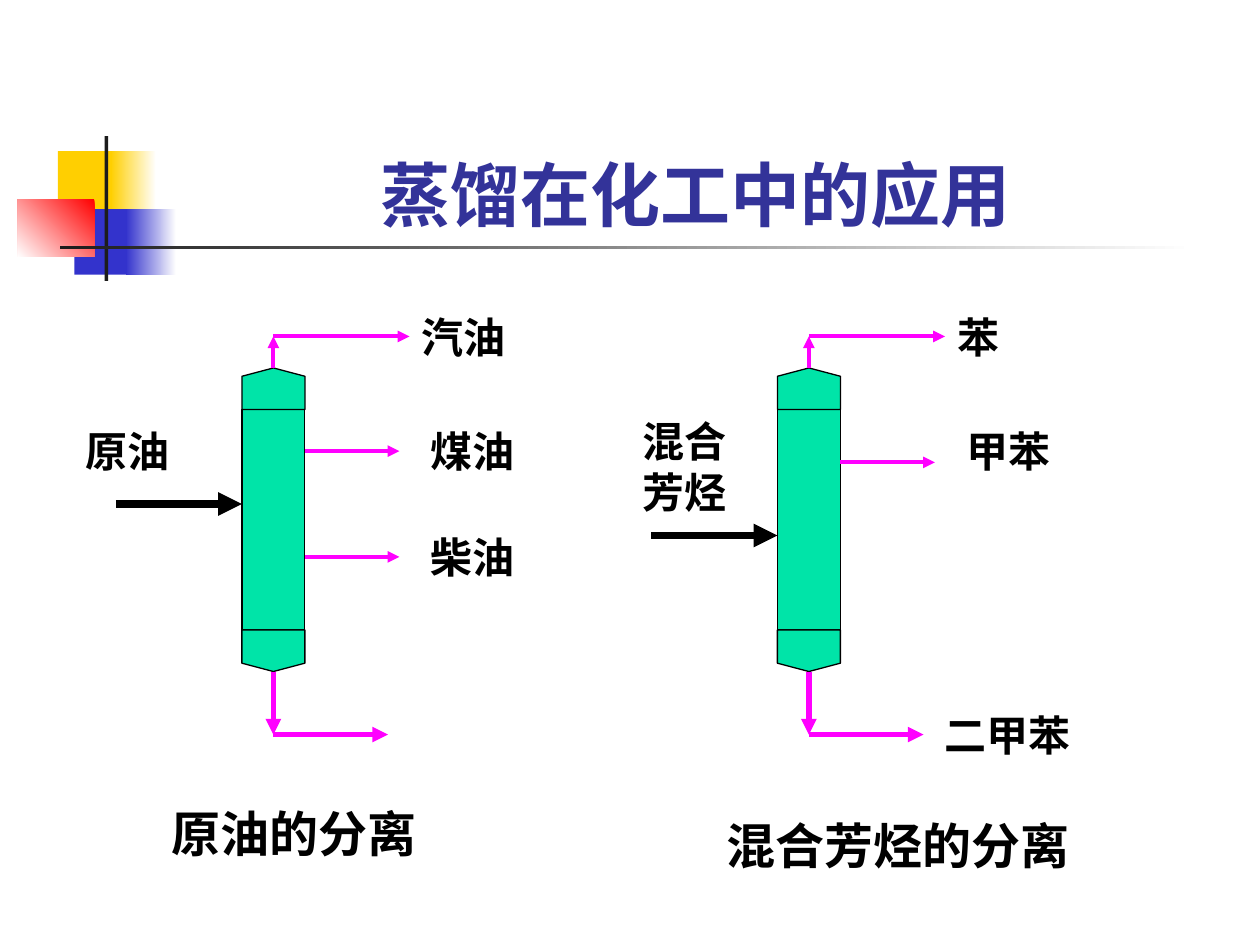
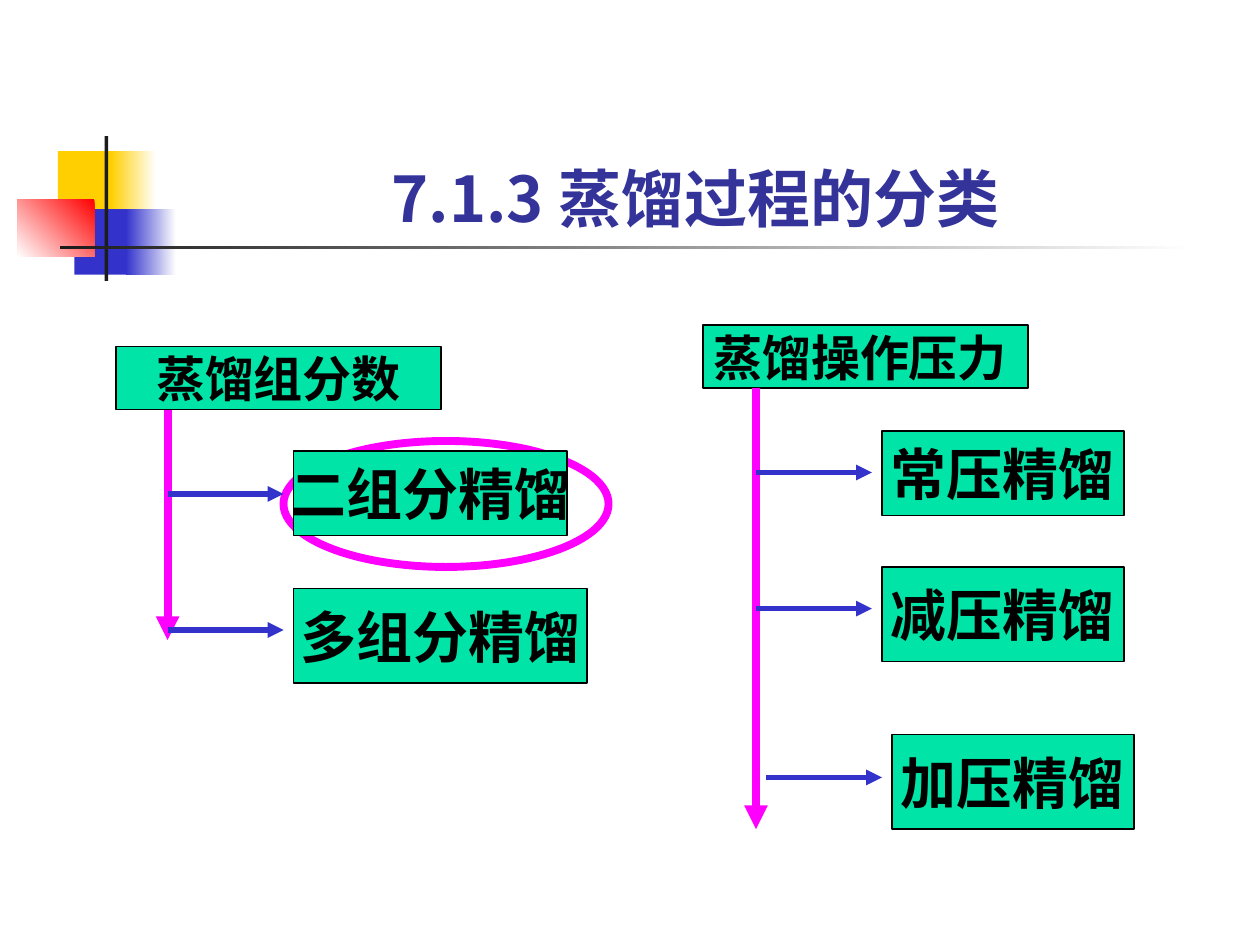
from lxml import etree
from pptx import Presentation
from pptx.dml.color import RGBColor
from pptx.enum.shapes import MSO_CONNECTOR, MSO_SHAPE
from pptx.enum.text import MSO_ANCHOR, MSO_AUTO_SIZE, PP_ALIGN
from pptx.oxml.ns import qn
from pptx.util import Inches, Pt

RECTANGLE = MSO_SHAPE.RECTANGLE
CAP = MSO_SHAPE.FLOWCHART_OFFPAGE_CONNECTOR
OVAL = MSO_SHAPE.OVAL
ARROW = MSO_CONNECTOR.STRAIGHT
LEFT, CENTER = PP_ALIGN.LEFT, PP_ALIGN.CENTER
TOP, MIDDLE, BOTTOM = MSO_ANCHOR.TOP, MSO_ANCHOR.MIDDLE, MSO_ANCHOR.BOTTOM
NO_FIT, GROW = MSO_AUTO_SIZE.NONE, MSO_AUTO_SIZE.SHAPE_TO_FIT_TEXT

LATO, NOTO = "Lato", "Noto Sans CJK SC"
BLACK, WHITE, DARK = "000000", "FFFFFF", "1C1C1C"
GREEN, MAGENTA, BLUE = "00E4A8", "FF00FF", "3333CC"
YELLOW, RED, TITLE_BLUE = "FFCF01", "FF0000", "333399"
color = RGBColor.from_string


def write(shape, text, size, font=LATO, hue=BLACK, align=CENTER,
          anchor=MIDDLE, fit=NO_FIT, wrap=True):
    frame = shape.text_frame
    frame_format = {"word_wrap": wrap, "auto_size": fit, "vertical_anchor": anchor}
    for name, value in frame_format.items():
        setattr(frame, name, value)
    paragraph = frame.paragraphs[0]
    paragraph.alignment = align
    run = paragraph.add_run()
    run.text = text
    for name, value in {"name": font, "size": Pt(size), "bold": True}.items():
        setattr(run.font, name, value)
    run.font.color.rgb = color(hue)
    for properties in shape.element.iter(qn("a:rPr")):
        etree.SubElement(properties, qn("a:ea"), typeface=NOTO)


def draw(slide, kind, at, fill=None, line=BLACK, width=0.75):
    """Add a shape at left, top, width, height or an arrow from x, y to x, y."""
    lengths = [Inches(value) for value in at]
    # Enum members of different kinds may be equal, so compare identity
    is_arrow = kind is ARROW
    if is_arrow:
        shape = slide.shapes.add_connector(kind, *lengths)
    else:
        shape = slide.shapes.add_shape(kind, *lengths)
        shape.shadow.inherit = False
        shape.fill.solid()
        shape.fill.fore_color.rgb = color(fill)
    if line:
        shape.line.color.rgb = color(line)
        shape.line.width = Pt(width)
    else:
        shape.line.fill.background()
    if is_arrow:
        properties = shape.element.spPr
        etree.SubElement(properties.find(qn("a:ln")), qn("a:tailEnd"), type="triangle")
        etree.SubElement(properties, qn("a:effectLst"))
    return shape


presentation = Presentation()
presentation.slide_width = Inches(10)
presentation.slide_height = Inches(7.5)
layout = presentation.slide_layouts[5]

# Slides and their titles
slides = []
for text, size, font in [("蒸馏在化工中的应用", 40, LATO),
                         ("7.1.3 蒸馏过程的分类", 36, NOTO)]:
    slide = presentation.slides.add_slide(layout)
    title = slide.shapes.title
    title.left, title.top = Inches(1.26), Inches(0.67)
    title.width, title.height = Inches(8.52), Inches(1.25)
    write(title, text, size, font, TITLE_BLUE, anchor=BOTTOM)
    slides.append(slide)
separation, classes = slides

# Shared ornament, moved to the layout: position, colours, gradient angle
ornament = [
    ((0.46, 1.2, 0.48, 0.52), [YELLOW], 0),
    ((0.88, 1.2, 0.36, 0.52), [WHITE, YELLOW], 180),
    ((0.59, 1.66, 0.46, 0.52), [BLUE], 0),
    ((1, 1.66, 0.4, 0.52), [WHITE, BLUE], 180),
    ((0.14, 1.58, 0.61, 0.46), [RED, WHITE], 225),
    ((0.83, 1.08, 0.03, 1.15), [DARK], 0),
    ((0.48, 1.95, 9, 0.03), [WHITE, DARK], 180),
]
for at, hues, angle in ornament:
    piece = draw(separation, RECTANGLE, at, hues[0], None)
    if len(hues) == 2:
        piece.fill.gradient()
        piece.fill.gradient_angle = angle
        for stop, hue, position in zip(piece.fill.gradient_stops, hues, (0, 1)):
            stop.color.rgb = color(hue)
            stop.position = position
    layout.shapes.element.append(piece.element)

# Slide 1: two towers; left edge, feed height, side stream heights
towers = [(1.92, 4, [3.58, 4.42]), (6.17, 4.25, [3.67])]
for left, feed, side_streams in towers:
    middle, right = left + 0.25, left + 0.5
    draw(separation, RECTANGLE, (left, 3.25, 0.5, 1.75), GREEN)
    draw(separation, CAP, (left, 5, 0.5, 0.33), GREEN)
    draw(separation, CAP, (left, 2.92, 0.5, 0.33), GREEN).rotation = 180
    draw(separation, ARROW, (left - 1, feed, left, feed), line=BLACK, width=4.5)
    streams = [
        ((middle, 2.92, middle, 2.67), 2.25),
        ((middle, 2.67, middle + 1.08, 2.67), 2.25),
        ((middle, 5.33, middle, 5.83), 3),
        ((middle, 5.83, middle + 0.91, 5.83), 3),
    ]
    streams += [((right, y, right + 0.75, y), 2.25) for y in side_streams]
    for at, width in streams:
        draw(separation, ARROW, at, line=MAGENTA, width=width)

# Stream labels and captions
labels = [
    ("原油", (0.58, 3.33, 0.92, 0.5), 24, LATO, LEFT),
    ("汽油", (3.25, 2.42, 0.92, 0.5), 24, LATO, LEFT),
    ("煤油", (3.32, 3.33, 1.18, 0.5), 24, LATO, LEFT),
    ("柴油", (3.32, 4.17, 1.18, 0.5), 24, LATO, LEFT),
    ("原油的分离", (1, 6.33, 2.67, 0.57), 28, LATO, CENTER),
    ("混合芳烃", (5, 3.25, 0.92, 0.9), 24, LATO, LEFT),
    ("苯", (7.5, 2.42, 0.92, 0.5), 24, LATO, LEFT),
    ("甲苯", (7.57, 3.33, 1.18, 0.5), 24, LATO, LEFT),
    ("二甲苯", (7.4, 5.58, 1.68, 0.5), 24, LATO, LEFT),
    ("混合芳烃的分离", (5.67, 6.42, 3.5, 0.57), 28, NOTO, LEFT),
]
for text, at, size, font, align in labels:
    label = separation.shapes.add_textbox(*[Inches(value) for value in at])
    write(label, text, size, font, align=align, anchor=TOP, fit=GROW)

# Slide 2: highlight ring behind the class boxes
draw(classes, OVAL, (2.25, 3.5, 2.58, 1), WHITE, MAGENTA, 4.5)

boxes = [
    ("蒸馏组分数", (0.92, 2.75, 2.58, 0.5), 28, NOTO),
    ("二组分精馏", (2.33, 3.58, 2.17, 0.67), 32, LATO),
    ("多组分精馏", (2.33, 4.67, 2.33, 0.75), 32, LATO),
    ("蒸馏操作压力 ", (5.58, 2.58, 2.58, 0.5), 28, NOTO),
    ("常压精馏", (7, 3.42, 1.92, 0.67), 32, LATO),
    ("减压精馏", (7, 4.5, 1.92, 0.75), 32, LATO),
    ("加压精馏", (7.08, 5.83, 1.92, 0.75), 32, LATO),
]
for text, at, size, font in boxes:
    write(draw(classes, RECTANGLE, at, GREEN), text, size, font, wrap=False)

# Trunk arrows, then the branches that leave them
for x, top, bottom in [(1.33, 3.25, 5.08), (6, 3.08, 6.58)]:
    draw(classes, ARROW, (x, top, x, bottom), line=MAGENTA, width=4.5)
for x, y in [(1.33, 3.92), (1.33, 5), (6, 3.75), (6, 4.83), (6.08, 6.17)]:
    draw(classes, ARROW, (x, y, x + 0.92, y), line=BLUE, width=3)

presentation.save("out.pptx")
